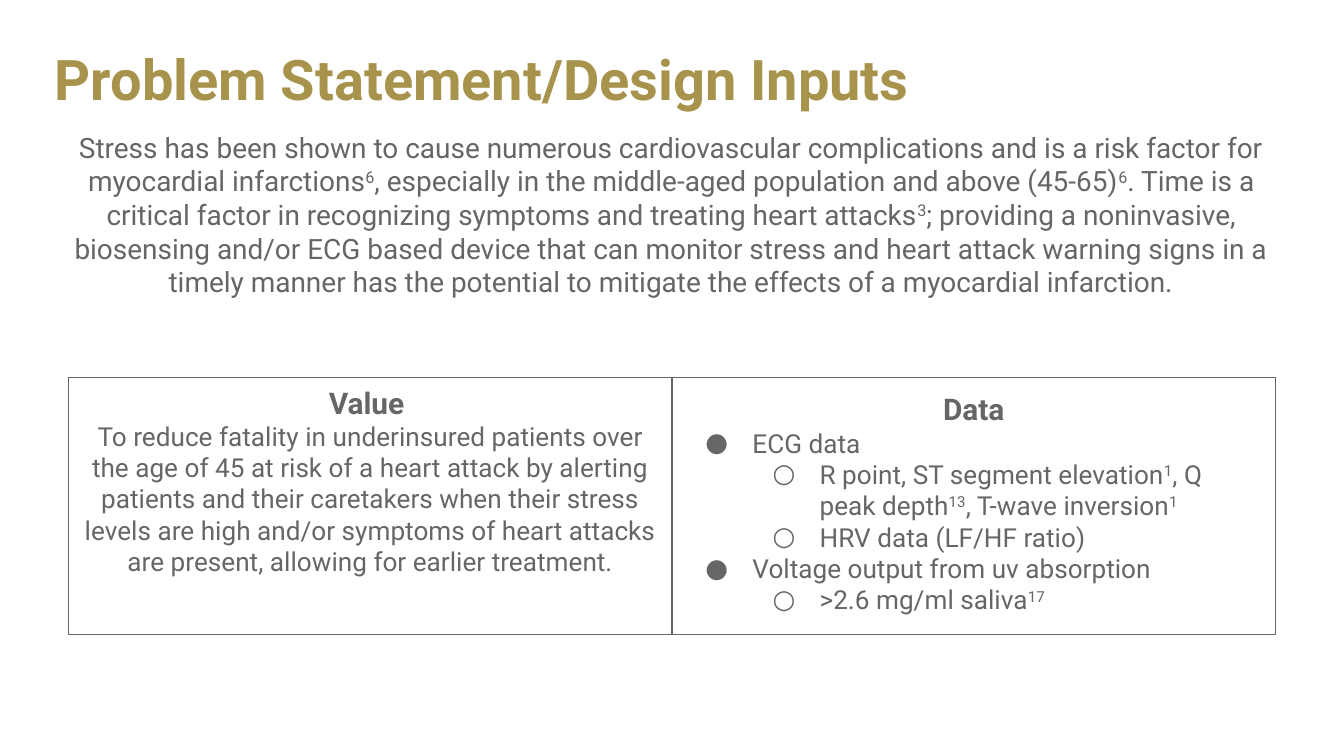
"""Build the problem statement slide with its value and data boxes."""
from lxml.etree import SubElement
from pptx import Presentation
from pptx.dml.color import RGBColor
from pptx.enum.shapes import MSO_SHAPE as Shape
from pptx.enum.text import MSO_ANCHOR as Anchor, PP_ALIGN as Align
from pptx.oxml.ns import qn
from pptx.util import Inches, Pt

FONT = "Roboto"
GRAY = "666666"
GOLD = "A7934B"
BULLETS = "●○"


def color(value):
    return RGBColor.from_string(value)


def write(box, text, size=14, bold=False, ink=GRAY, align=Align.CENTER, level=None, spacing=None):
    """Add a paragraph; text between carets is superscript."""
    frame = box.text_frame
    para = frame.paragraphs[0]
    if para.runs:
        para = frame.add_paragraph()
    para.alignment = align
    if spacing:
        para.line_spacing = spacing
    if level is not None:
        para.level = level
        props = para._p.get_or_add_pPr()
        props.set("marL", str(Inches(0.5 * (level + 1))))
        props.set("indent", str(Inches(-0.35)))
        bullet_color = SubElement(props, qn("a:buClr"))
        SubElement(bullet_color, qn("a:srgbClr"), val=ink)
        SubElement(props, qn("a:buFont"), typeface=FONT)
        SubElement(props, qn("a:buChar"), char=BULLETS[level])
    for index, part in enumerate(text.split("^")):
        if not part:
            continue
        span = para.add_run()
        span.text = part
        span.font.name = FONT
        span.font.size = Pt(size)
        span.font.bold = bold
        span.font.color.rgb = color(ink)
        if index % 2:
            span._r.get_or_add_rPr().set("baseline", "30000")


deck = Presentation()
deck.slide_width = Inches(10)
deck.slide_height = Inches(10) * 9 // 16
page = deck.slides.add_slide(deck.slide_layouts[6])

title = page.shapes.add_textbox(Inches(0.31), Inches(0.24), Inches(9.04), Inches(0.65))
title.text_frame.word_wrap = True
title.text_frame.vertical_anchor = Anchor.BOTTOM
write(title, "Problem Statement/Design Inputs", size=30, bold=True, ink=GOLD,
      align=Align.LEFT, spacing=0.9)

statement = page.shapes.add_textbox(Inches(0.38), Inches(0.92), Inches(9.23), Inches(1.54))
statement.text_frame.word_wrap = True
write(statement,
      "Stress has been shown to cause numerous cardiovascular complications and is a risk "
      "factor for myocardial infarctions^6^, especially in the middle-aged population and "
      "above (45-65)^6^. Time is a critical factor in recognizing symptoms and treating heart "
      "attacks^3^; providing a noninvasive, biosensing and/or ECG based device that can monitor "
      "stress and heart attack warning signs in a timely manner has the potential to mitigate "
      "the effects of a myocardial infarction.", size=15)

boxes = []
for left, margin in ((0.51, 0.05), (5, 0.1)):
    box = page.shapes.add_shape(Shape.RECTANGLE, Inches(left), Inches(2.81), Inches(4.49), Inches(1.91))
    box.shadow.inherit = False
    box.fill.background()
    box.line.color.rgb = color(GRAY)
    box.line.width = Pt(0.75)
    frame = box.text_frame
    frame.word_wrap = True
    frame.vertical_anchor = Anchor.TOP
    frame.margin_top = frame.margin_bottom = Inches(margin)
    boxes.append(box)
value_box, data_box = boxes

write(value_box, "Value ", size=16, bold=True)
write(value_box,
      "To reduce fatality in underinsured patients over the age of 45 at risk of a heart attack "
      "by alerting patients and their caretakers when their stress levels are high and/or "
      "symptoms of heart attacks are present, allowing for earlier treatment.")

write(data_box, "Data", size=16, bold=True)
for level, item in (
    (0, "ECG data"),
    (1, "R point, ST segment elevation^1^, Q peak depth^13^, T-wave inversion^1^"),
    (1, "HRV data (LF/HF ratio)"),
    (0, "Voltage output from uv absorption"),
    (1, ">2.6 mg/ml saliva^17^"),
):
    write(data_box, item, align=Align.LEFT, level=level)

deck.save("out.pptx")
